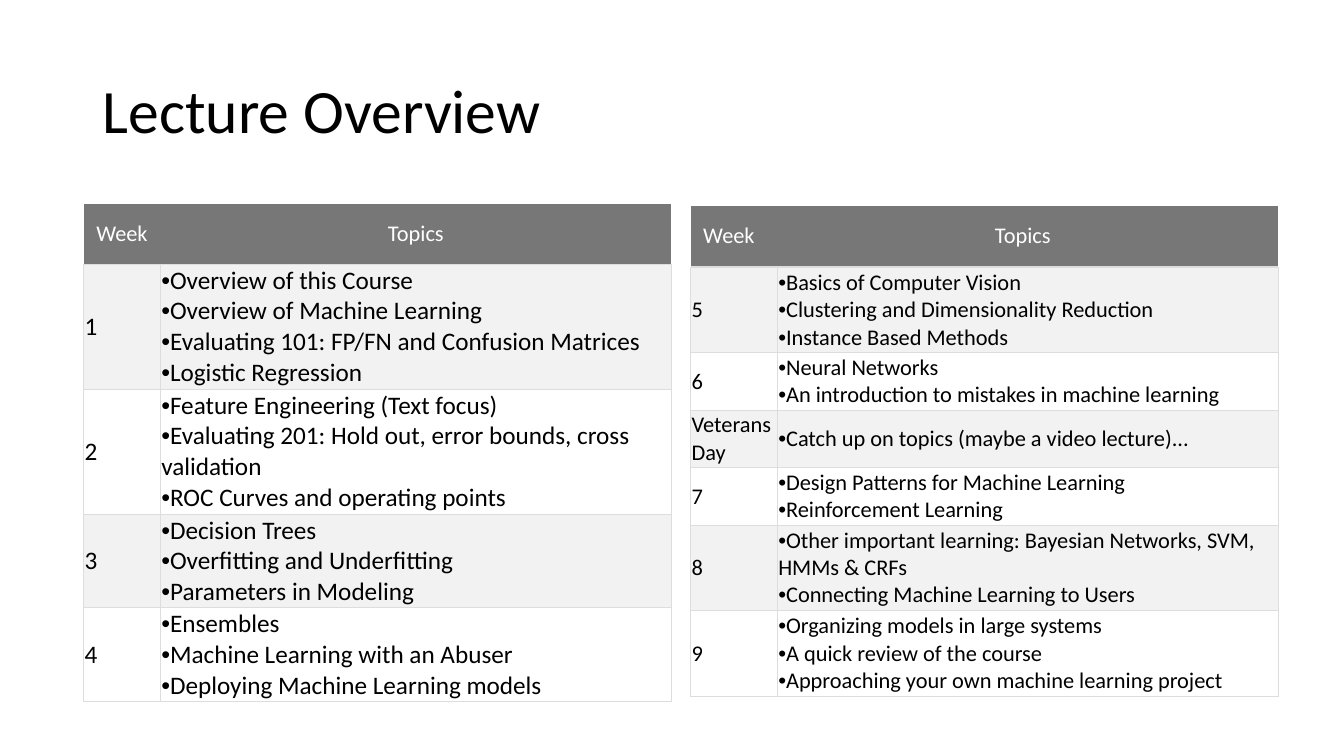
from lxml import etree
from pptx import Presentation
from pptx import util as u
from pptx.dml.color import RGBColor
from pptx.enum import text
from pptx.oxml import ns

TITLE = "Lecture Overview"
HEADER = [("Week", ["Topics"])]
FIRST_WEEKS = [
    ("1", ["Overview of this Course", "Overview of Machine Learning",
           "Evaluating 101: FP/FN and Confusion Matrices", "Logistic Regression"]),
    ("2", ["Feature Engineering (Text focus)",
           "Evaluating 201: Hold out, error bounds, cross validation",
           "ROC Curves and operating points"]),
    ("3", ["Decision Trees", "Overfitting and Underfitting", "Parameters in Modeling"]),
    ("4", ["Ensembles", "Machine Learning with an Abuser",
           "Deploying Machine Learning models"]),
]
LATER_WEEKS = [
    ("5", ["Basics of Computer Vision", "Clustering and Dimensionality Reduction",
           "Instance Based Methods"]),
    ("6", ["Neural Networks", "An introduction to mistakes in machine learning"]),
    ("Veterans Day", ["Catch up on topics (maybe a video lecture)..."]),
    ("7", ["Design Patterns for Machine Learning", "Reinforcement Learning"]),
    ("8", ["Other important learning: Bayesian Networks, SVM, HMMs & CRFs",
           "Connecting Machine Learning to Users"]),
    ("9", ["Organizing models in large systems", "A quick review of the course",
           "Approaching your own machine learning project"]),
]
FONT, BULLET_FONT = "Calibri", "Arial"
BLACK, WHITE = "000000", "FFFFFF"
HEAD_FILL, BAND_FILL, RULE = "777777", "F2F2F2", "DDDDDD"
TABLE_W, HEAD_H = 5.83, 0.6
LEFT_X, RIGHT_X = 0.83, 6.85


def color(value):
    return RGBColor.from_string(value)


def add_run(p, words, size, ink):
    r = p.add_run()
    r.text = words
    r.font.size = u.Pt(size)
    r.font.name = FONT
    r.font.bold = False
    r.font.color.rgb = color(ink)


def add_bullet(p):
    pPr = p._p.get_or_add_pPr()
    pPr.set("marL", "0")
    pPr.set("indent", "0")
    etree.SubElement(pPr, ns.qn("a:buFont")).set("typeface", BULLET_FONT)
    etree.SubElement(pPr, ns.qn("a:buChar")).set("char", "•")


def set_borders(cell, ruled):
    tcPr = cell._tc.get_or_add_tcPr()
    for side in "LRTB":
        ln = etree.SubElement(tcPr, ns.qn("a:ln" + side))
        ln.set("w", str(u.Pt(0.75)))
        if side in ruled:
            fill = etree.SubElement(ln, ns.qn("a:solidFill"))
            etree.SubElement(fill, ns.qn("a:srgbClr")).set("val", RULE)
        else:
            etree.SubElement(ln, ns.qn("a:noFill"))


def fill_cell(cell, lines, size, fill, is_header, bulleted):
    set_borders(cell, "B" if is_header else "LRTB")
    cell.margin_left = cell.margin_right = u.Inches(0.09 if is_header else 0.01)
    cell.margin_top = cell.margin_bottom = u.Inches(0.03 if is_header else 0.01)
    cell.vertical_anchor = text.MSO_ANCHOR.MIDDLE
    if fill:
        cell.fill.solid()
        cell.fill.fore_color.rgb = color(fill)
    else:
        cell.fill.background()
    tf = cell.text_frame
    for i, line in enumerate(lines):
        p = tf.add_paragraph() if i else tf.paragraphs[0]
        if is_header:
            p.alignment = text.PP_ALIGN.CENTER
        if bulleted:
            add_bullet(p)
        add_run(p, line, size, WHITE if is_header else BLACK)


def add_schedule(s, x, y, week_w, heights, rows, size, has_header):
    frame = s.shapes.add_table(len(rows), 2, u.Inches(x), u.Inches(y),
                               u.Inches(TABLE_W), u.Inches(sum(heights)))
    table = frame.table
    table.first_row = table.horz_banding = False
    for column, width in zip(table.columns, (week_w, TABLE_W - week_w)):
        column.width = u.Inches(width)
    for i, (week, topics) in enumerate(rows):
        table.rows[i].height = u.Inches(heights[i])
        is_header = has_header and i == 0
        banded = (i - has_header) % 2 == 0
        fill = HEAD_FILL if is_header else BAND_FILL if banded else None
        for j, lines in enumerate(([week], topics)):
            fill_cell(table.cell(i, j), lines, 16 if is_header else size,
                      fill, is_header, j == 1 and not is_header)


def main():
    prs = Presentation()
    prs.slide_width, prs.slide_height = u.Inches(13.33), u.Inches(7.5)
    s = prs.slides.add_slide(prs.slide_layouts[6])

    title = s.shapes.add_textbox(*map(u.Inches, (0.92, 0.4, 11.5, 1.45)))
    tf = title.text_frame
    tf.word_wrap = True
    tf.vertical_anchor = text.MSO_ANCHOR.MIDDLE
    tf.paragraphs[0].line_spacing = 0.9
    add_run(tf.paragraphs[0], TITLE, 44, BLACK)

    add_schedule(s, RIGHT_X, 2.65, 0.86, [0.85, 0.57, 0.57, 0.57, 0.85, 0.85],
                 LATER_WEEKS, 16, False)
    add_schedule(s, LEFT_X, 2.02, 0.76, [HEAD_H, 1.24, 1.24, 0.93, 0.93],
                 HEADER + FIRST_WEEKS, 18, True)
    add_schedule(s, RIGHT_X, 2.04, 0.76, [HEAD_H], HEADER, 16, True)
    prs.save("out.pptx")


if __name__ == "__main__":
    main()
